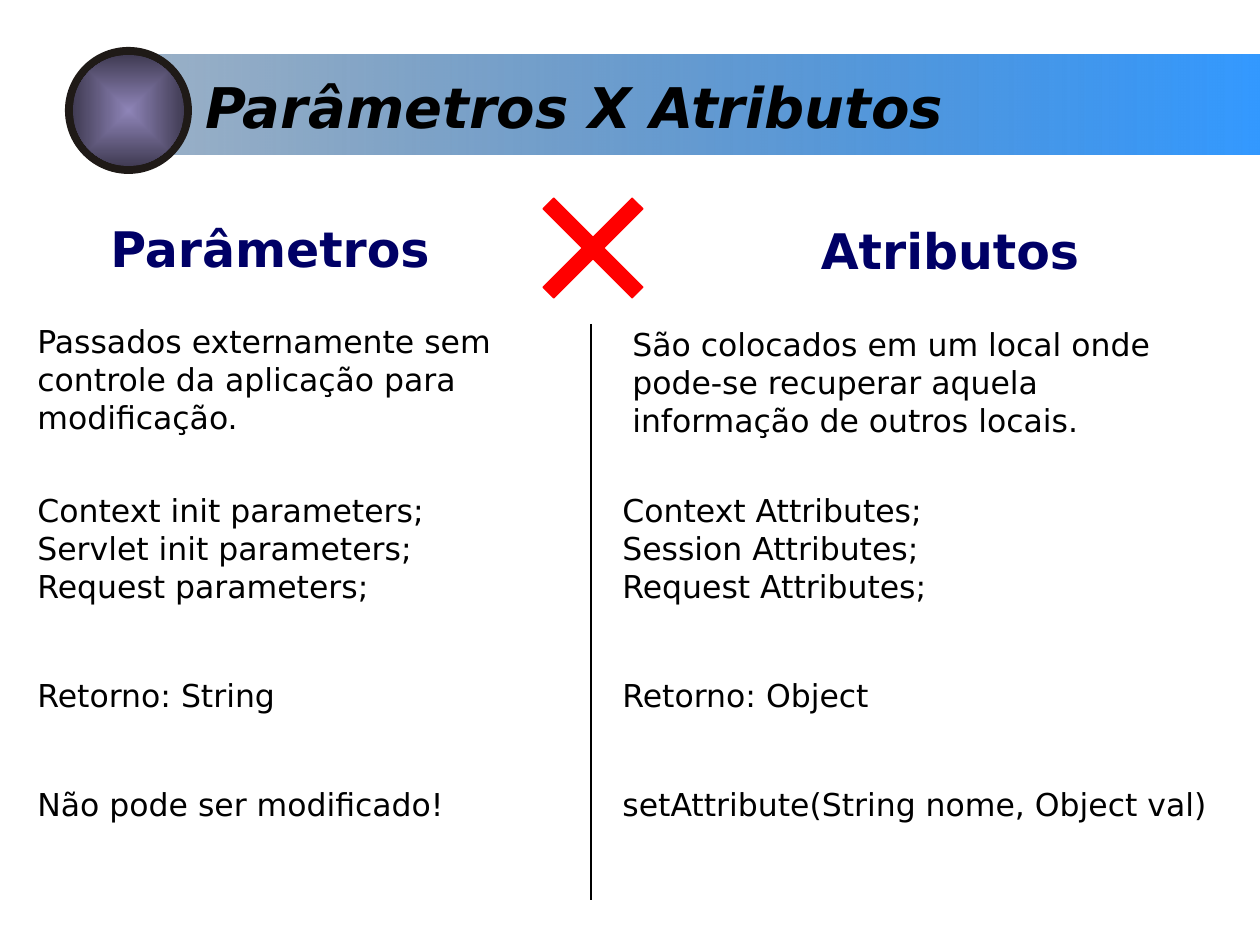
from typing import NamedTuple

from lxml.etree import SubElement
from pptx import Presentation
from pptx.dml.color import RGBColor
from pptx.enum.shapes import MSO_CONNECTOR, MSO_SHAPE
from pptx.enum.text import MSO_ANCHOR, MSO_AUTO_SIZE, PP_ALIGN
from pptx.oxml.ns import qn
from pptx.util import Emu, Pt

SCALE = 914400 / 126
FONT = "DejaVu Sans"


class Box(NamedTuple):
    """Position and size in px."""
    x: int
    y: int
    w: int
    h: int


class Note(NamedTuple):
    """Body text and its box."""
    text: str
    box: Box


LEFT_X, RIGHT_X, COLUMN_W = 25, 610, 586
ROWS = [
    (485, 126, "Context init parameters;\nServlet init parameters;\nRequest parameters;",
     "Context Attributes;\nSession Attributes;\nRequest Attributes;"),
    (670, 50, "Retorno: String", "Retorno: Object"),
    (779, 50, "Não pode ser modificado!", "setAttribute(String nome, Object val)"),
]
NOTES = [
    Note("São colocados em um local onde pode-se recuperar aquela informação de outros locais.",
         Box(620, 319, 566, 126)),
    Note("Passados externamente sem controle da aplicação para modificação.",
         Box(LEFT_X, 316, COLUMN_W, 126)),
]
for top, height, left_text, right_text in ROWS:
    NOTES.append(Note(left_text, Box(LEFT_X, top, COLUMN_W, height)))
    NOTES.append(Note(right_text, Box(RIGHT_X, top, 650, height)))


def px(n: int) -> Emu:
    """Turn px into EMU."""
    return Emu(round(n * SCALE))


def rgb(color: str) -> RGBColor:
    """Turn a hex string into a colour."""
    return RGBColor.from_string(color)


def add_shape(slide, kind: MSO_SHAPE, box: Box, color: str = ""):
    """Add a shape without outline or shadow, filled if a colour is given."""
    sp = slide.shapes.add_shape(kind, *map(px, box))
    sp.shadow.inherit = False
    sp.line.fill.background()
    if color:
        sp.fill.solid()
        sp.fill.fore_color.rgb = rgb(color)
    return sp


def set_gradient(sp, start: str, end: str):
    """Fill a shape with a two-colour gradient and return its XML element."""
    sp.fill.gradient()
    for stop, color in zip(sp.fill.gradient_stops, (start, end)):
        stop.color.rgb = rgb(color)
    return sp.element.spPr.find(qn("a:gradFill"))


def add_text(slide, text: str, box: Box, *, size: int = 18, color: str = "000000",
             bold: bool = False, italic: bool = False, align: PP_ALIGN = PP_ALIGN.LEFT) -> None:
    """Add a wrapped text box with one formatted paragraph."""
    tf = slide.shapes.add_textbox(*map(px, box)).text_frame
    tf.word_wrap = True
    tf.auto_size = MSO_AUTO_SIZE.SHAPE_TO_FIT_TEXT
    tf.vertical_anchor = MSO_ANCHOR.TOP
    p = tf.paragraphs[0]
    p.text = text
    p.alignment = align
    for r in p.runs:
        r.font.name = FONT
        r.font.size = Pt(size)
        r.font.bold = bold
        r.font.italic = italic
        r.font.color.rgb = rgb(color)


def add_header(slide) -> None:
    """Draw the fading bar, the title and the round badge."""
    bar = add_shape(slide, MSO_SHAPE.RECTANGLE, Box(154, 55, 1106, 100))
    grad = set_gradient(bar, "3399FF", "194D81")
    bar.fill.gradient_angle = 180
    last_color = grad.findall(".//" + qn("a:srgbClr"))[-1]
    SubElement(last_color, qn("a:alpha"), val="44000")

    add_text(slide, "Parâmetros X Atributos", Box(193, 66, 1067, 80),
             size=32, bold=True, italic=True)

    add_shape(slide, MSO_SHAPE.OVAL, Box(65, 47, 127, 127), "1F1A17")
    disc = add_shape(slide, MSO_SHAPE.OVAL, Box(73, 55, 111, 111))
    grad = set_gradient(disc, "8E84B7", "413C54")
    grad.remove(grad.find(qn("a:lin")))
    path = SubElement(grad, qn("a:path"), path="rect")
    SubElement(path, qn("a:fillToRect"), l="50000", t="50000", r="50000", b="50000")


def add_divider(slide, x: int, top: int, bottom: int) -> None:
    """Draw the thin vertical line between the columns."""
    line = slide.shapes.add_connector(MSO_CONNECTOR.STRAIGHT, px(x), px(top), px(x), px(bottom))
    line.line.color.rgb = rgb("000000")
    line.line.width = Pt(0.75)
    SubElement(line.element.spPr, qn("a:effectLst"))


def add_cross(slide, box: Box) -> None:
    """Draw the red cross between the headings."""
    cross = add_shape(slide, MSO_SHAPE.CROSS, box, "FF0000")
    cross.adjustments[0] = 0.44
    cross.rotation = 315
    cross.line.color.rgb = rgb("FF0000")
    cross.line.width = Pt(0.75)


def main() -> None:
    """Build and save the slide."""
    prs = Presentation()
    prs.slide_width, prs.slide_height = px(1260), px(945)
    slide = prs.slides.add_slide(prs.slide_layouts[6])
    add_header(slide)
    for note in NOTES[:2]:
        add_text(slide, note.text, note.box)
    add_divider(slide, 591, 324, 900)
    for heading, box in (("Atributos", Box(640, 214, 620, 72)),
                         ("Parâmetros", Box(0, 212, 540, 72))):
        add_text(slide, heading, box, size=28, color="000066", bold=True, align=PP_ALIGN.CENTER)
    add_cross(slide, Box(530, 185, 126, 126))
    for note in NOTES[2:]:
        add_text(slide, note.text, note.box)
    prs.save("out.pptx")


if __name__ == "__main__":
    main()
